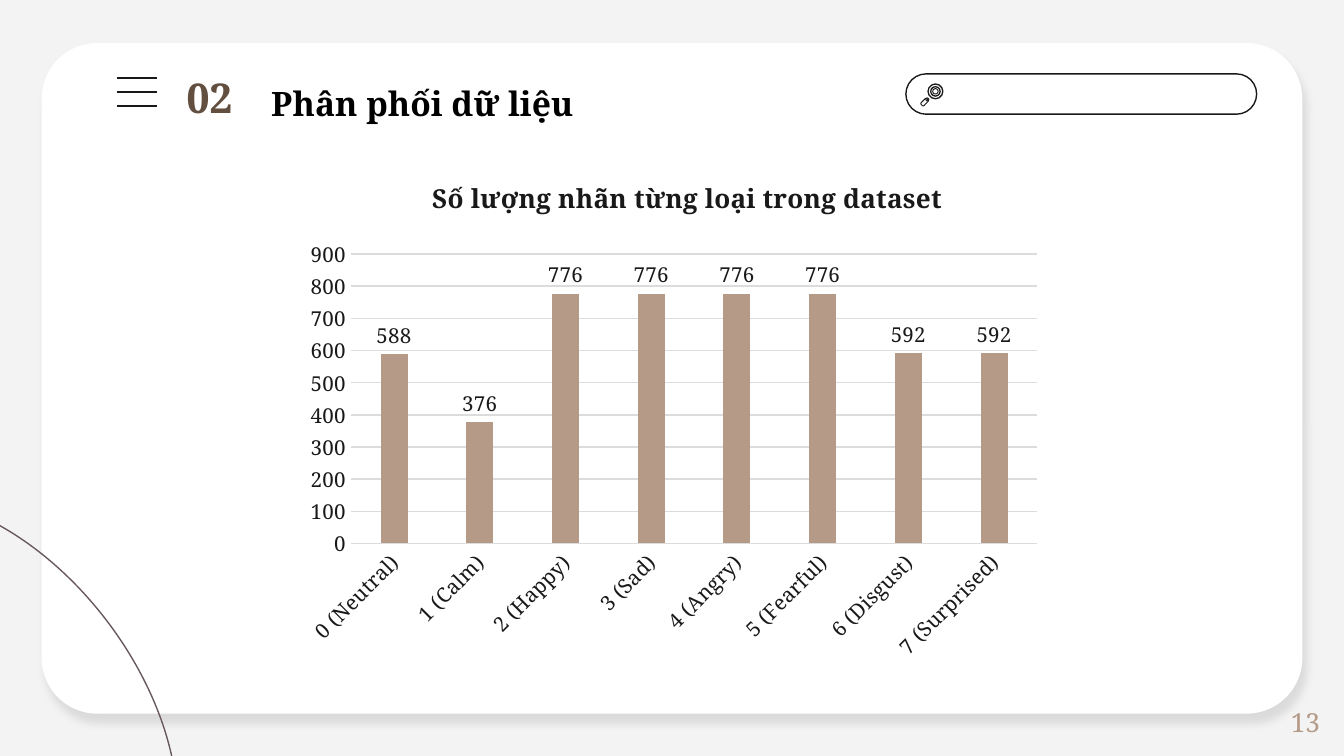
from lxml.etree import SubElement
from pptx import Presentation
from pptx.chart.data import CategoryChartData
from pptx.dml.color import RGBColor
from pptx.enum.chart import XL_CHART_TYPE, XL_LABEL_POSITION, XL_TICK_MARK
from pptx.enum.shapes import MSO_CONNECTOR, MSO_SHAPE
from pptx.enum.text import MSO_ANCHOR, PP_ALIGN
from pptx.oxml import parse_xml
from pptx.oxml.ns import nsdecls, qn
from pptx.util import Inches, Pt

FONT = "Noto Serif"
COLORS = {
    "background": "F3F3F3",
    "card": "FFFFFF",
    "ink": "191919",
    "title": "000000",
    "number": "634F40",
    "accent": "B49A87",
    "curve": "67595E",
    "grid": "DCDCDC",
}
COUNTS = {
    "0 (Neutral)": 588,
    "1 (Calm)": 376,
    "2 (Happy)": 776,
    "3 (Sad)": 776,
    "4 (Angry)": 776,
    "5 (Fearful)": 776,
    "6 (Disgust)": 592,
    "7 (Surprised)": 592,
}


def rgb(name):
    return RGBColor.from_string(COLORS[name])


def style_font(font, size, color, bold=False):
    font.name = FONT
    font.size = Pt(size)
    font.bold = bold
    font.color.rgb = rgb(color)


def style_line(line, color, width=0.75):
    line.color.rgb = rgb(color)
    line.width = Pt(width)


def add_shape(s, kind, x, y, w, h, fill=None, line=None, width=0.75, adj=None, rot=0):
    sp = s.shapes.add_shape(kind, Inches(x), Inches(y), Inches(w), Inches(h))
    sp.shadow.inherit = False
    sp.rotation = rot
    if adj is not None:
        sp.adjustments[0] = adj
    if fill:
        sp.fill.solid()
        sp.fill.fore_color.rgb = rgb(fill)
    else:
        sp.fill.background()
    if line:
        style_line(sp.line, line, width)
    else:
        sp.line.fill.background()
    return sp


def add_text(s, x, y, w, h, text, size, color, bold=False, align=PP_ALIGN.LEFT,
             anchor=MSO_ANCHOR.TOP, margin=0.05, spacing=1.0):
    tf = s.shapes.add_textbox(Inches(x), Inches(y), Inches(w), Inches(h)).text_frame
    tf.word_wrap = True
    tf.vertical_anchor = anchor
    tf.margin_top = tf.margin_bottom = Inches(margin)
    p = tf.paragraphs[0]
    p.alignment = align
    p.line_spacing = spacing
    r = p.add_run()
    r.text = text
    style_font(r.font, size, color, bold)


def add_card(s, x, y, w, h):
    sp = add_shape(s, MSO_SHAPE.ROUNDED_RECTANGLE, x, y, w, h, fill="card", adj=0.083)
    effects = sp._element.spPr.find(qn("a:effectLst"))
    shadow = SubElement(effects, qn("a:outerShdw"), blurRad=str(Pt(4.5)),
                        dist=str(Pt(6)), dir=str(68 * 60000), algn="bl", rotWithShape="0")
    color = SubElement(shadow, qn("a:srgbClr"), val="000000")
    SubElement(color, qn("a:alpha"), val="10000")


def add_menu(s, x, y, w, h):
    for i in range(3):
        top = Inches(y + i * h / 2)
        line = s.shapes.add_connector(MSO_CONNECTOR.STRAIGHT, Inches(x), top, Inches(x + w), top)
        style_line(line.line, "ink")
        SubElement(line._element.spPr, qn("a:effectLst"))


def add_search_bar(s, x, y, w, h):
    add_shape(s, MSO_SHAPE.ROUNDED_RECTANGLE, x, y, w, h, line="ink", adj=0.5)
    cx, cy = x + 0.22, y + 0.13
    for d in (0.12, 0.08):
        add_shape(s, MSO_SHAPE.DONUT, cx - d / 2, cy - d / 2, d, d, fill="ink", adj=0.01 / d)
    glint = add_shape(s, MSO_SHAPE.ARC, cx - 0.02, cy - 0.02, 0.04, 0.04, line="ink", width=0.5)
    glint.adjustments[0], glint.adjustments[1] = -150, -30
    for offset, length, thick in ((0.08, 0.06, 0.03), (0.06, 0.02, 0.02)):
        add_shape(s, MSO_SHAPE.ROUNDED_RECTANGLE, cx - offset - length / 2,
                  cy + offset - thick / 2, length, thick, line="ink", width=0.5, adj=0.3, rot=-45)


def add_heading(s, x, y, w, h):
    add_text(s, x + 0.63, y, w - 0.63, h, "Phân phối dữ liệu", 18, "title", True,
             PP_ALIGN.JUSTIFY, margin=0.1, spacing=1.2)
    add_text(s, x, y + 0.03, 0.58, h - 0.03, "02", 22, "number", True)


def set_layout(parent, index, x, y, w=None, h=None):
    for old in parent.findall(qn("c:layout")):
        parent.remove(old)
    values = [("xMode", "edge"), ("yMode", "edge"), ("x", x), ("y", y)]
    if w:
        values = [("layoutTarget", "inner")] + values + [("w", w), ("h", h)]
    layout = parse_xml(f"<c:layout {nsdecls('c')}/>")
    manual = SubElement(layout, qn("c:manualLayout"))
    for tag, value in values:
        SubElement(manual, qn(f"c:{tag}"), val=str(value))
    parent.insert(index, layout)


def add_label_chart(s, x, y, w, h):
    data = CategoryChartData()
    data.categories = list(COUNTS)
    data.add_series("Series 1", list(COUNTS.values()))
    chart = s.shapes.add_chart(XL_CHART_TYPE.COLUMN_CLUSTERED, Inches(x), Inches(y),
                               Inches(w), Inches(h), data).chart
    style_font(chart.font, 11, "ink")
    chart.has_legend = False
    chart.has_title = True
    r = chart.chart_title.text_frame.paragraphs[0].add_run()
    r.text = "Số lượng nhãn từng loại trong dataset"
    style_font(r.font, 14, "ink", True)
    set_layout(chart.chart_title._element, 1, 0.18, 0.02)
    set_layout(chart._chartSpace.chart.plotArea, 0, 0.08, 0.18, 0.9, 0.57)

    plot = chart.plots[0]
    plot.gap_width = 219
    plot.overlap = -27
    plot.vary_by_categories = False
    series = plot.series[0]
    series.format.fill.solid()
    series.format.fill.fore_color.rgb = rgb("accent")
    labels = series.data_labels
    labels.show_value = True
    labels.position = XL_LABEL_POSITION.OUTSIDE_END
    style_font(labels.font, 11, "ink")

    for axis in (chart.category_axis, chart.value_axis):
        axis.major_tick_mark = axis.minor_tick_mark = XL_TICK_MARK.NONE
        style_font(axis.tick_labels.font, 11, "ink")
    style_line(chart.category_axis.format.line, "grid")
    body = chart.category_axis._element.find(qn("c:txPr")).find(qn("a:bodyPr"))
    body.set("rot", str(-45 * 60000))
    axis = chart.value_axis
    axis.minimum_scale, axis.maximum_scale, axis.major_unit = 0, 900, 100
    axis.format.line.fill.background()
    style_line(axis.major_gridlines.format.line, "grid")


def main():
    prs = Presentation()
    prs.slide_width = Inches(10)
    prs.slide_height = prs.slide_width * 9 // 16
    s = prs.slides.add_slide(prs.slide_layouts[6])
    s.background.fill.solid()
    s.background.fill.fore_color.rgb = rgb("background")
    add_card(s, 0.31, 0.32, 9.38, 4.99)
    add_shape(s, MSO_SHAPE.OVAL, -1.96, 4.17, 3.68, 2.31, line="curve", rot=53)
    add_menu(s, 0.87, 0.58, 0.3, 0.21)
    add_search_bar(s, 6.74, 0.55, 2.61, 0.3)
    add_text(s, 7.67, 5.22, 2.25, 0.3, "13", 14, "accent", align=PP_ALIGN.RIGHT,
             anchor=MSO_ANCHOR.MIDDLE)
    add_heading(s, 1.29, 0.46, 7.9, 0.5)
    add_label_chart(s, 2.16, 1.21, 5.67, 3.78)
    prs.save("out.pptx")


if __name__ == "__main__":
    main()
